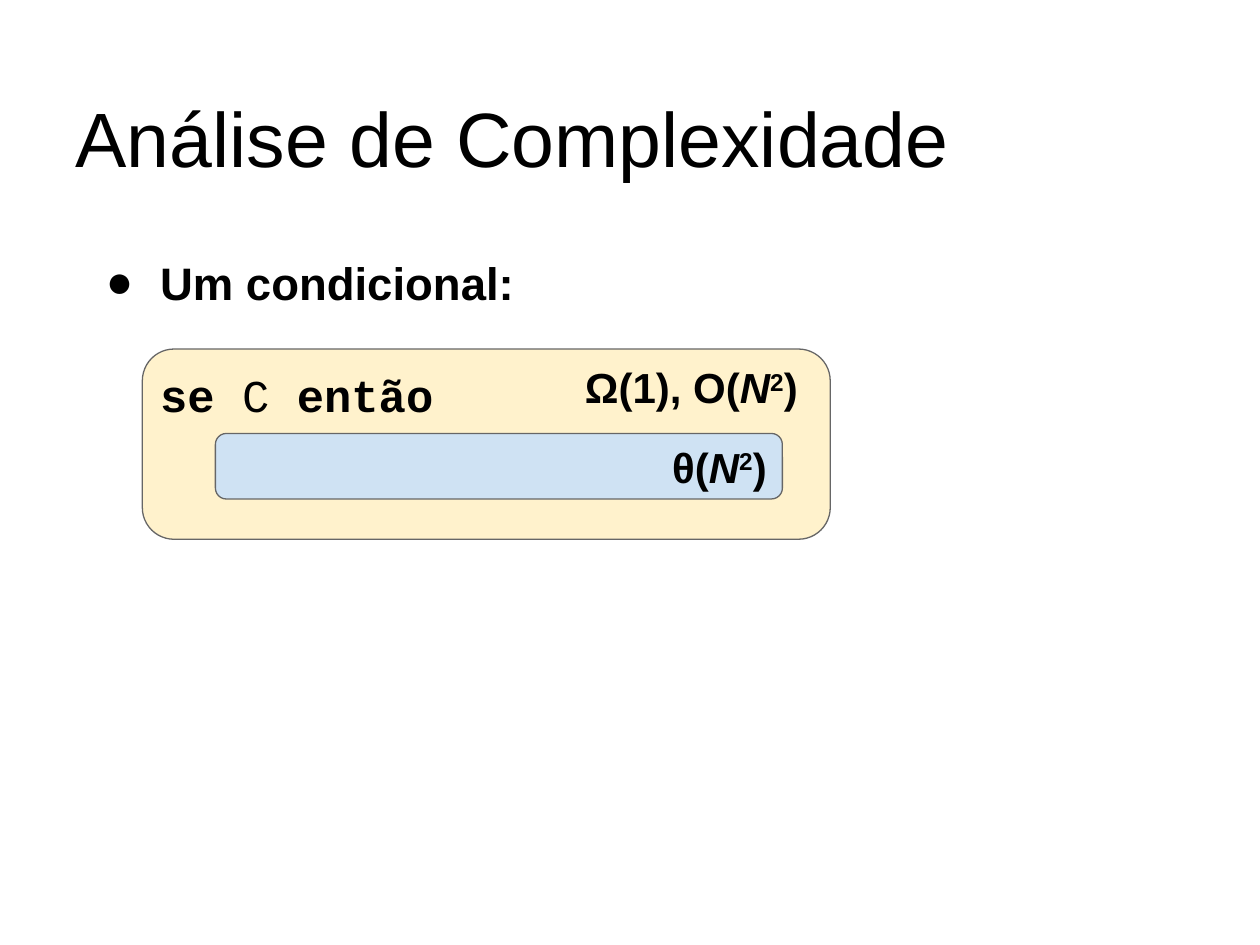
from lxml.etree import SubElement
from pptx import Presentation
from pptx.dml.color import RGBColor
from pptx.enum.shapes import MSO_SHAPE as SHAPE
from pptx.enum.text import MSO_ANCHOR as ANCHOR, MSO_AUTO_SIZE as AUTO, PP_ALIGN as ALIGN
from pptx.oxml.ns import qn
from pptx.util import Inches, Pt


def color(hex_code):
    return RGBColor.from_string(hex_code)


def add_run(p, text, size=24, font="Arial", bold=False, italic=False, sup=False):
    r = p.add_run()
    r.text = text
    r.font.size, r.font.name = Pt(size), font
    r.font.bold, r.font.italic = bold, italic
    r.font.color.rgb = color("000000")
    if sup:
        r.font._element.set("baseline", "30000")


class SlideBuilder:
    line_color = "666666"
    code_font = "Courier New"
    body_size = 26

    def __init__(self, prs):
        self.slide = prs.slides.add_slide(prs.slide_layouts[1])

    def frame(self, sp, anchor=ANCHOR.TOP):
        tf = sp.text_frame
        tf.word_wrap, tf.auto_size = True, AUTO.NONE
        tf.vertical_anchor = anchor
        tf.margin_left = tf.margin_right = Inches(0.1)
        tf.margin_top = tf.margin_bottom = Inches(0.1)
        return tf

    def place(self, sp, box):
        sp.left, sp.top, sp.width, sp.height = map(Inches, box)

    def title(self, text, box):
        sp = self.slide.shapes.title
        self.place(sp, box)
        p = self.frame(sp, ANCHOR.BOTTOM).paragraphs[0]
        p.alignment = ALIGN.LEFT
        add_run(p, text, size=44)

    def body(self, heading, code, box):
        sp = self.slide.placeholders[1]
        self.place(sp, box)
        tf = self.frame(sp)
        # Bulleted heading
        p = self.body_line(tf.paragraphs[0], hanging=-0.43, before=0)
        pPr = p._p.get_or_add_pPr()
        SubElement(SubElement(pPr, qn("a:buClr")), qn("a:srgbClr"), val="000000")
        SubElement(pPr, qn("a:buChar"), char="●")
        add_run(p, heading, size=self.body_size, bold=True)
        # Line of pseudocode
        p = self.body_line(tf.add_paragraph(), hanging=0, before=33)
        SubElement(p._p.get_or_add_pPr(), qn("a:buNone"))
        for text, bold in code:
            add_run(p, text, size=self.body_size, font=self.code_font, bold=bold)

    def body_line(self, p, hanging, before):
        p.alignment, p.line_spacing = ALIGN.LEFT, 1.0
        p.space_before = Pt(before)
        pPr = p._p.get_or_add_pPr()
        pPr.set("marL", str(Inches(0.5)))
        pPr.set("indent", str(Inches(hanging)))
        return p

    def block(self, box, fill):
        sp = self.slide.shapes.add_shape(SHAPE.ROUNDED_RECTANGLE, *map(Inches, box))
        sp.shadow.inherit = False
        sp.fill.solid()
        sp.fill.fore_color.rgb = color(fill)
        sp.line.color.rgb = color(self.line_color)
        sp.line.width = Pt(0.75)
        return sp

    def send_to_back(self, sp):
        self.slide.shapes._spTree.insert(2, sp._element)

    def text_box(self, box):
        return self.slide.shapes.add_textbox(*map(Inches, box))

    def cost(self, sp, prefix, anchor=ANCHOR.TOP):
        """Right-aligned bound that ends in N squared."""
        p = self.frame(sp, anchor).paragraphs[0]
        p.alignment = ALIGN.RIGHT
        add_run(p, prefix, bold=True)
        add_run(p, "N", bold=True, italic=True)
        add_run(p, "2", bold=True, sup=True)
        add_run(p, ")", bold=True)


def main():
    prs = Presentation()
    prs.slide_width, prs.slide_height = Inches(10), Inches(7.5)
    s = SlideBuilder(prs)

    # Title and pseudocode
    s.title("Análise de Complexidade", (0.5, 0.3, 9, 1.25))
    s.body("Um condicional:", [("se", True), (" C ", False), ("então", True)],
           (0.67, 1.92, 9, 0.71))

    # Conditional block behind the text, with its inner block
    s.send_to_back(s.block((1.13, 2.77, 5.46, 1.51), "FFF2CC"))
    s.cost(s.block((1.71, 3.44, 4.5, 0.52), "CFE2F3"), "θ(", ANCHOR.MIDDLE)

    # Cost of the whole conditional
    s.cost(s.text_box((1.79, 2.77, 4.64, 0.52)), "Ω(1), O(")

    prs.save("out.pptx")


if __name__ == "__main__":
    main()
